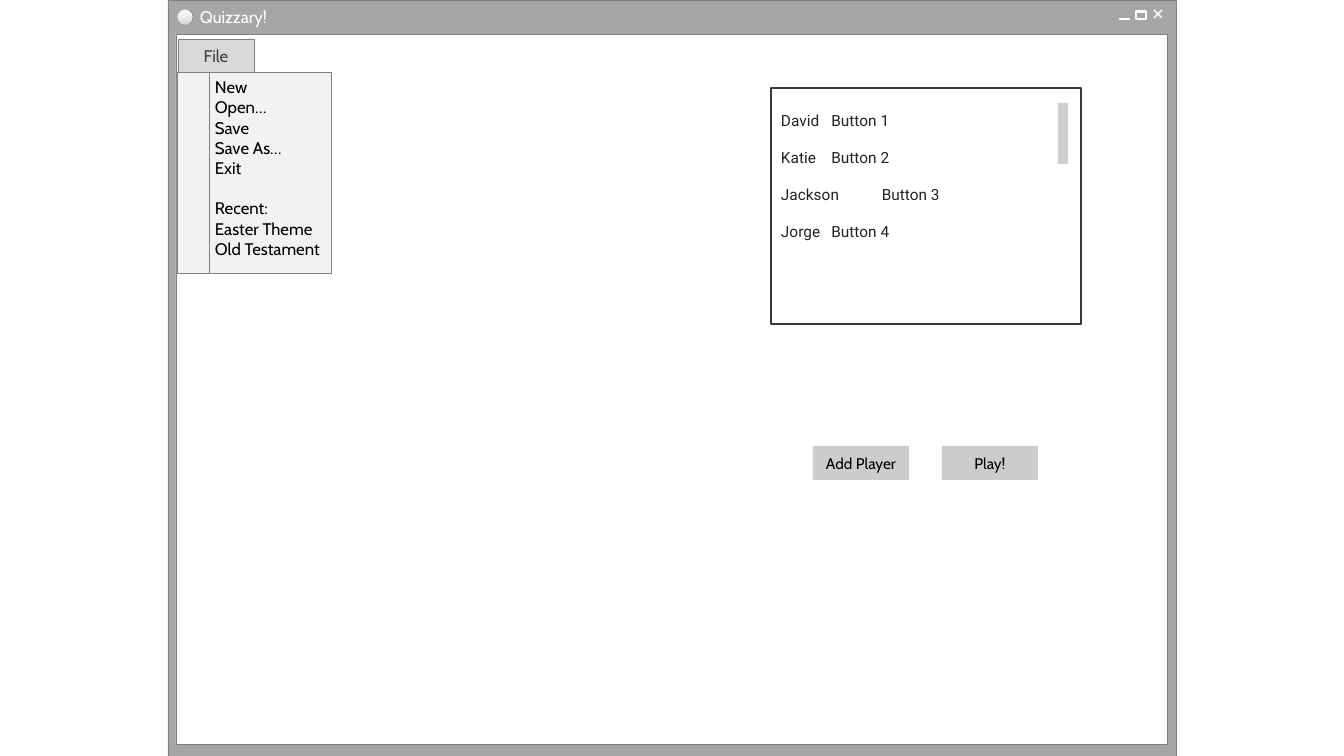
from copy import deepcopy
from dataclasses import dataclass
from typing import Optional

from pptx import Presentation
from pptx.dml.color import RGBColor
from pptx.enum.shapes import MSO_CONNECTOR, MSO_SHAPE
from pptx.enum.text import MSO_ANCHOR, PP_ALIGN
from pptx.oxml.ns import qn
from pptx.shapes.autoshape import Shape
from pptx.shapes.shapetree import GroupShapes
from pptx.util import Emu, Pt

RECT, OVAL = MSO_SHAPE.RECTANGLE, MSO_SHAPE.OVAL
STRAIGHT = MSO_CONNECTOR.STRAIGHT
TOP, MIDDLE = MSO_ANCHOR.TOP, MSO_ANCHOR.MIDDLE
LEFT, CENTER = PP_ALIGN.LEFT, PP_ALIGN.CENTER

WHITE = RGBColor(0xFF, 0xFF, 0xFF)
BLACK = RGBColor(0x00, 0x00, 0x00)
FRAME = RGBColor(0xA6, 0xA6, 0xA6)
EDGE = RGBColor(0x80, 0x80, 0x80)
GLYPH = RGBColor(0x91, 0x91, 0x91)
PALE = RGBColor(0xF2, 0xF2, 0xF2)
TAB = RGBColor(0xD9, 0xD9, 0xD9)
TAB_TEXT = RGBColor(0x40, 0x40, 0x40)
BUTTON = RGBColor(0xCC, 0xCC, 0xCC)
LIST_EDGE = RGBColor(0x39, 0x39, 0x39)
LIST_TEXT = RGBColor(0x23, 0x23, 0x23)
SCROLL = RGBColor(0xCF, 0xCF, 0xCF)

PIXEL = 914400 / 100.8
HAIRLINE = 0.25


@dataclass
class Block:
    """A filled or outlined shape, in pixels."""
    left: int
    top: int
    width: int
    height: int
    fill: Optional[RGBColor] = None
    line: Optional[RGBColor] = None
    weight: float = HAIRLINE
    kind: MSO_SHAPE = RECT


@dataclass
class Words:
    """Lines of text and their format."""
    lines: list[str]
    size: int
    color: RGBColor
    font: str = "Cabin"
    align: PP_ALIGN = LEFT
    anchor: MSO_ANCHOR = TOP
    insets: tuple[int, int, int, int] = (10, 5, 10, 5)
    spacing: Optional[float] = None
    wrap: bool = True


def px(value: float) -> Emu:
    """Turn pixels into EMU."""
    return Emu(round(value * PIXEL))


def assign(target: object, values: dict[str, object]) -> None:
    """Set every attribute named in values."""
    for name, value in values.items():
        setattr(target, name, value)


def draw_block(shapes: GroupShapes, block: Block) -> Shape:
    """Draw a block with its fill and outline."""
    shape = shapes.add_shape(block.kind, px(block.left), px(block.top),
                             px(block.width), px(block.height))
    shape.shadow.inherit = False
    if block.fill is None:
        shape.fill.background()
    else:
        shape.fill.solid()
        shape.fill.fore_color.rgb = block.fill
    if block.line is None:
        shape.line.fill.background()
    else:
        shape.line.color.rgb = block.line
        shape.line.width = Pt(block.weight)
    return shape


def write(box: Shape, words: Words) -> None:
    """Put formatted lines into a box."""
    frame = box.text_frame
    left, top, right, bottom = (px(inset) for inset in words.insets)
    assign(frame, {"margin_left": left, "margin_top": top, "margin_right": right,
                   "margin_bottom": bottom, "word_wrap": words.wrap,
                   "vertical_anchor": words.anchor})
    for index, line in enumerate(words.lines):
        para = frame.add_paragraph() if index else frame.paragraphs[0]
        assign(para, {"alignment": words.align, "line_spacing": words.spacing})
        span = para.add_run()
        span.text = line
        assign(span.font, {"name": words.font, "size": Pt(words.size)})
        span.font.color.rgb = words.color


def draw_text(shapes: GroupShapes, area: tuple[int, int, int, int], words: Words) -> Shape:
    """Add a text box over an area."""
    box = shapes.add_textbox(*(px(value) for value in area))
    write(box, words)
    return box


def draw_line(shapes: GroupShapes, ends: tuple[int, int, int, int],
              color: RGBColor, weight: float) -> None:
    """Draw a straight line without shadow."""
    line = shapes.add_connector(STRAIGHT, *(px(value) for value in ends))
    line.line.color.rgb = color
    line.line.width = Pt(weight)
    properties = line._element.spPr
    properties.append(properties.makeelement(qn("a:effectLst"), {}))


def shade(shape: Shape, stops: list[tuple[float, RGBColor]]) -> None:
    """Fill a shape with a gradient running from top to bottom."""
    shape.fill.gradient()
    shape.fill.gradient_angle = 270
    stop_list = shape._element.spPr.find(qn("a:gradFill")).find(qn("a:gsLst"))
    while len(stop_list) < len(stops):
        stop_list.append(deepcopy(stop_list[0]))
    for stop, (position, color) in zip(shape.fill.gradient_stops, stops):
        stop.position = position
        stop.color.rgb = color


deck = Presentation()
assign(deck, {"slide_width": px(1344), "slide_height": px(756)})
page = deck.slides.add_slide(deck.slide_layouts[6])

# Application window
window = page.shapes.add_group_shape().shapes
for part in (
    Block(168, 0, 1008, 756, FRAME, EDGE),
    Block(176, 34, 991, 710, WHITE, EDGE),
    Block(1136, 11, 10, 1, GLYPH, WHITE),
    Block(1136, 11, 10, 8, None, WHITE, 1),
    Block(1119, 18, 10, 1, GLYPH, WHITE),
):
    draw_block(window, part)
for start, end in ((10, 18), (18, 10)):
    draw_line(window, (1154, start, 1162, end), WHITE, 1)
icon = draw_block(window, Block(177, 9, 16, 16, PALE, EDGE, kind=OVAL))
shade(icon, [(0.36, PALE), (0.91, TAB), (1.0, PALE)])
draw_text(window, (195, 5, 87, 25),
          Words(["Quizzary!"], 12, WHITE, anchor=MIDDLE, insets=(5, 2, 10, 3), wrap=False))

# File menu
menu = page.shapes.add_group_shape().shapes
draw_block(menu, Block(177, 72, 154, 201, PALE, EDGE))
draw_line(menu, (209, 72, 209, 273), EDGE, HAIRLINE)
entries = ["New", "Open…", "Save", "Save As…", "Exit",
           "Recent:", "Easter Theme", "Old Testament"]
menu_box = draw_text(menu, (209, 72, 122, 201),
                     Words(entries, 12, BLACK, insets=(6, 5, 5, 3)))
menu_box.text_frame.paragraphs[entries.index("Recent:")].space_before = Pt(14.5)
file_tab = draw_block(menu, Block(178, 39, 76, 33, TAB, EDGE))
write(file_tab, Words(["File"], 12, TAB_TEXT, align=CENTER, anchor=MIDDLE,
                      insets=(5, 5, 5, 5)))

# Buttons
for column, label in enumerate(("Add Player", "Play!")):
    button = draw_block(page.shapes, Block(813 + 129 * column, 446, 96, 34, BUTTON))
    write(button, Words([label], 11, BLACK, align=CENTER, anchor=MIDDLE))

# Player list
players = page.shapes.add_group_shape().shapes
player_list = draw_block(players, Block(771, 88, 310, 236, WHITE, LIST_EDGE, 1.75))
names = ("David", "Katie", "Jackson", "Jorge")
rows = [f"{name}\tButton {number}" for number, name in enumerate(names, 1)]
write(player_list, Words(rows, 11, LIST_TEXT, "Roboto", spacing=2.0))
draw_block(players, Block(1058, 103, 10, 61, SCROLL))

deck.save("out.pptx")
